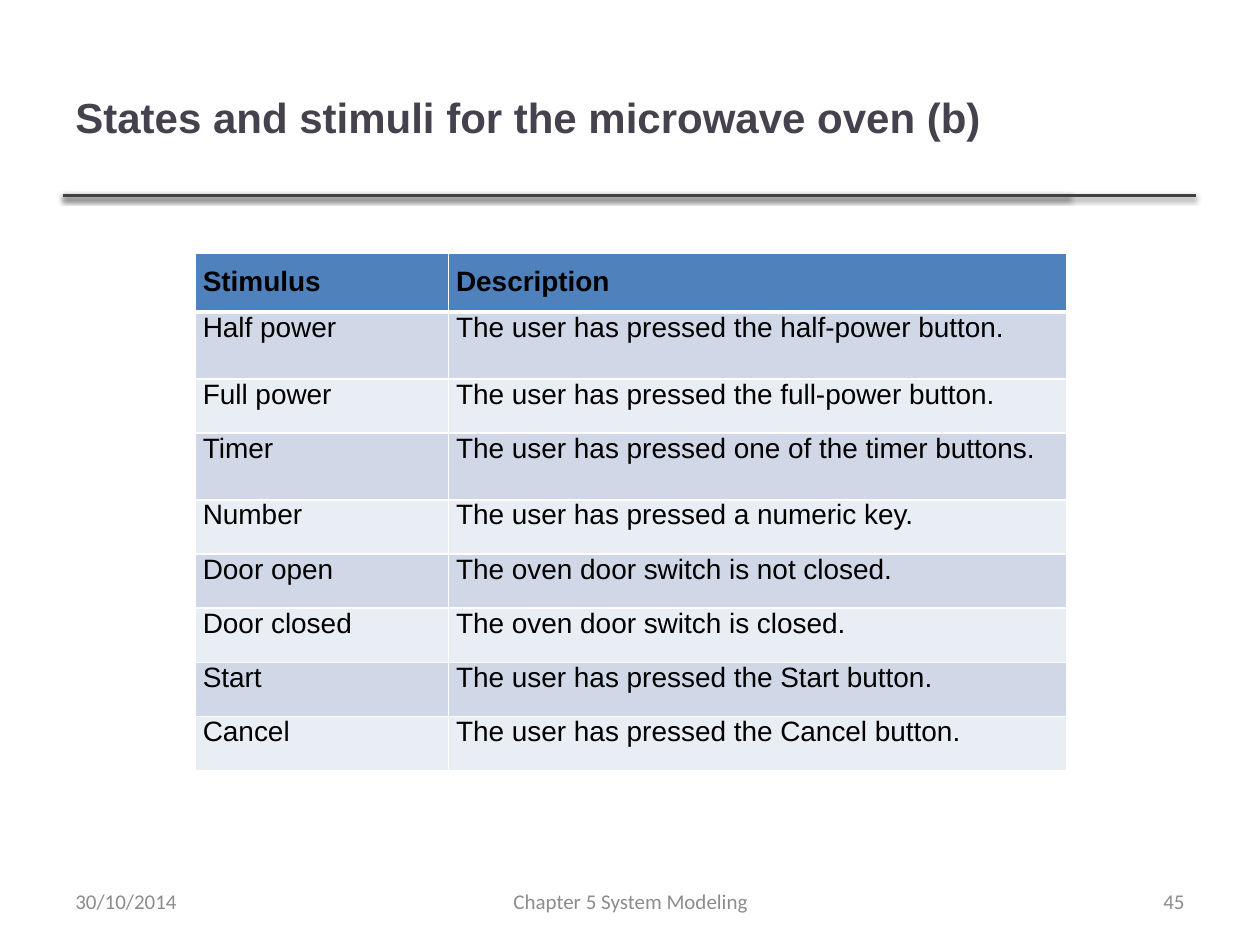
from lxml import etree
from pptx import Presentation
from pptx.dml.color import RGBColor
from pptx.enum.shapes import MSO_CONNECTOR
from pptx.enum.text import MSO_ANCHOR, PP_ALIGN
from pptx.oxml import parse_xml
from pptx.oxml.ns import qn
from pptx.util import Emu, Pt

LEFT, MID, RIGHT, FULL = PP_ALIGN.LEFT, PP_ALIGN.CENTER, PP_ALIGN.RIGHT, PP_ALIGN.JUSTIFY
CENTER, TOP = MSO_ANCHOR.MIDDLE, MSO_ANCHOR.TOP
LINE = MSO_CONNECTOR.STRAIGHT
SCALE = 9144
NS = "http://schemas.openxmlformats.org/drawingml/2006/main"
SHADOW = (
    f'<a:effectLst xmlns:a="{NS}"><a:outerShdw blurRad="39370" dist="20320" '
    'dir="5400000" rotWithShape="0"><a:srgbClr val="000000">'
    '<a:alpha val="38000"/></a:srgbClr></a:outerShdw></a:effectLst>'
)
TITLE = {"name": "Arial", "size": Pt(24), "bold": True}
HEAD = {"name": "Arial", "size": Pt(16), "bold": True}
BODY = {"name": "Arial", "size": Pt(16), "bold": False}
FOOT = {"name": "Calibri", "size": Pt(12), "bold": False}

ROWS = [
    ("Stimulus", "Description"),
    ("Half power", "The user has pressed the half-power button."),
    ("Full power", "The user has pressed the full-power button."),
    ("Timer", "The user has pressed one of the timer buttons."),
    ("Number", "The user has pressed a numeric key."),
    ("Door open", "The oven door switch is not closed."),
    ("Door closed", "The oven door switch is closed."),
    ("Start", "The user has pressed the Start button."),
    ("Cancel", "The user has pressed the Cancel button."),
]
TALL = (1, 3)


def px(n):
    """Turn px into EMU."""
    return Emu(n * SCALE)


def color(code):
    """Turn a hex string into a colour."""
    return RGBColor.from_string(code)


class Deck:
    """Hold the style and the current slide."""

    def __init__(self, wide, high):
        """Start a deck with one blank slide."""
        self.show = Presentation()
        self.show.slide_width, self.show.slide_height = px(wide), px(high)
        self.slide = self.show.slides.add_slide(self.show.slide_layouts[6])
        self.shapes = self.slide.shapes

    def label(self, frame, text, style, ink, align):
        """Put one styled paragraph in a frame."""
        para = frame.paragraphs[0]
        para.alignment = align
        run = para.add_run()
        run.text = text
        for key, value in style.items():
            setattr(run.font, key, value)
        run.font.color.rgb = color(ink)

    def text(self, box, text, style, ink, align=LEFT):
        """Add a text box."""
        frame = self.shapes.add_textbox(*map(px, box)).text_frame
        frame.word_wrap = True
        frame.vertical_anchor = CENTER
        self.label(frame, text, style, ink, align)

    def rule(self, start, end, y):
        """Add a level line with a soft shadow."""
        line = self.shapes.add_connector(LINE, px(start), px(y), px(end), px(y))
        line.line.color.rgb = color("404040")
        line.line.width = Pt(2)
        line._element.spPr.append(parse_xml(SHADOW))

    def edge(self, cell, sides):
        """Draw white cell borders, given their widths in points."""
        props = cell._tc.get_or_add_tcPr()
        for spot, (side, width) in enumerate(sides.items()):
            line = etree.Element(qn(f"a:ln{side}"), w=str(Pt(width)))
            fill = etree.SubElement(line, qn("a:solidFill"))
            etree.SubElement(fill, qn("a:srgbClr"), val="FFFFFF")
            props.insert(spot, line)

    def cell(self, cell, text, row):
        """Fill and style one table cell."""
        head = row == 0
        form = {
            "margin_left": px(6), "margin_right": px(6),
            "margin_top": px(10 if head else 0), "margin_bottom": px(10),
            "vertical_anchor": TOP,
        }
        for key, value in form.items():
            setattr(cell, key, value)
        cell.fill.solid()
        band = "D0D8E8" if row % 2 else "E9EDF4"
        cell.fill.fore_color.rgb = color("4F81BD" if head else band)
        self.label(cell.text_frame, text, HEAD if head else BODY, "000000", FULL)
        self.edge(cell, {"L": 1, "R": 1, "T": 3 if row == 1 else 1, "B": 3 if head else 1})

    def table(self, left, top, cols, highs, rows):
        """Add the table of rows."""
        box = map(px, (left, top, sum(cols), sum(highs)))
        table = self.shapes.add_table(len(rows), len(cols), *box).table
        for col, wide in zip(table.columns, cols):
            col.width = px(wide)
        for row, (words, high) in enumerate(zip(rows, highs)):
            table.rows[row].height = px(high)
            for col, text in enumerate(words):
                self.cell(table.cell(row, col), text, row)


def main():
    """Build the slide and save it."""
    deck = Deck(1000, 750)
    for end in (849, 949):
        deck.rule(50, end, 155)
    deck.text((50, 30, 798, 125), "States and stimuli for the microwave oven (b)", TITLE, "46424D")
    highs = [53 if row in TALL else 43 for row in range(len(ROWS))]
    deck.table(155, 201, (201, 491), highs, ROWS)
    for left, wide, text, align in (
        (50, 233, "30/10/2014", LEFT),
        (342, 317, "Chapter 5 System Modeling", MID),
        (717, 233, "45", RIGHT),
    ):
        deck.text((left, 695, wide, 40), text, FOOT, "8C8C8C", align)
    deck.show.save("out.pptx")


if __name__ == "__main__":
    main()
